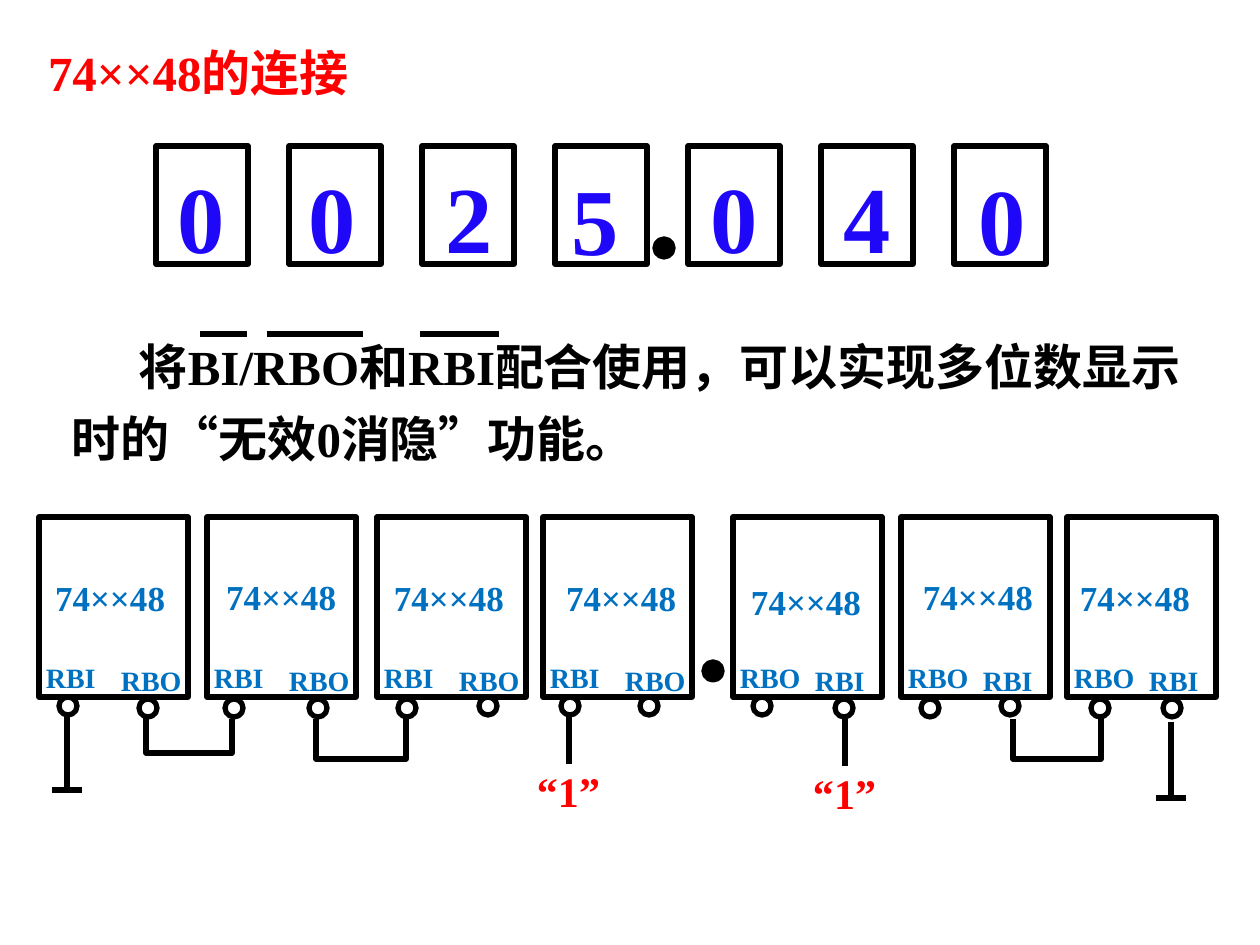
from dataclasses import dataclass
from lxml.etree import SubElement
from pptx import Presentation
from pptx.dml.color import RGBColor
from pptx.enum.shapes import MSO_CONNECTOR as CONN, MSO_SHAPE as SHAPE
from pptx.enum.text import MSO_ANCHOR as ANCHOR
from pptx.oxml.ns import qn
from pptx.util import Pt

SCALE = 914400 / 126


def px(n):
    return round(n * SCALE)


@dataclass(frozen=True)
class Theme:
    font: str = "Times New Roman"
    black: str = "000000"
    white: str = "FFFFFF"
    red: str = "FF0000"
    digit: str = "1F08F8"
    label: str = "0070C0"
    heading_pt: int = 28
    digit_pt: int = 54
    level_pt: int = 24
    name_pt: int = 20
    pin_pt: int = 16
    line_pt: int = 3
    dot: int = 18


T = Theme()


@dataclass(frozen=True)
class Chip:
    x: int
    name: tuple      # offset of the part name from the chip corner
    bubbles: tuple   # offsets of the two pin bubbles from the chip's bottom left


# ---- Drawing helpers ----
def rgb(code):
    return RGBColor.from_string(code)


def style_line(s, color=T.black):
    s.line.color.rgb = rgb(color)
    s.line.width = Pt(T.line_pt)


def shape(slide, kind, x, y, w, h, fill=None, line=T.black):
    s = slide.shapes.add_shape(kind, px(x), px(y), px(w), px(h))
    s.shadow.inherit = False
    if fill:
        s.fill.solid()
        s.fill.fore_color.rgb = rgb(fill)
    else:
        s.fill.background()
    style_line(s, line)
    return s


def circle(slide, x, y, fill=None):
    return shape(slide, SHAPE.OVAL, x, y, T.dot, T.dot, fill)


def line(slide, x1, y1, x2, y2):
    s = slide.shapes.add_connector(CONN.STRAIGHT, px(x1), px(y1), px(x2), px(y2))
    SubElement(s._element.spPr, qn("a:effectLst"))
    style_line(s)
    # the line style follows the effect list in schema order
    s._element.spPr.append(s._element.spPr.find(qn("a:effectLst")))


def write(s, text, size, color, top=6):
    tf = s.text_frame
    tf.word_wrap = True
    tf.vertical_anchor = ANCHOR.TOP
    tf.margin_left = tf.margin_right = px(13)
    tf.margin_top, tf.margin_bottom = px(top), px(6)
    p = tf.paragraphs[0]
    p.text = text
    p.font.name, p.font.size, p.font.bold = T.font, Pt(size), True
    p.font.color.rgb = rgb(color)
    return p


def label(slide, text, x, y, w, h, size, color):
    s = slide.shapes.add_textbox(px(x), px(y), px(w), px(h))
    write(s, text, size, color, top=6 + round(size / 6))


# ---- Regions ----
def title(slide, x, y, w, h):
    s = slide.shapes.add_textbox(px(x), px(y), px(w), px(h))
    write(s, "74××48的连接", T.heading_pt, T.red)
    s.text_frame.vertical_anchor = ANCHOR.MIDDLE


def display(slide, x, y, pitch, w, h):
    digits = [("0", 9, 0), ("0", 7, 0), ("2", 10, 0), ("5", 3, 2),
              ("0", 9, 0), ("4", 9, 0), ("0", 12, 2)]
    for i, (digit, dx, dy) in enumerate(digits):
        left = x + i * pitch
        shape(slide, SHAPE.RECTANGLE, left, y, w, h)
        label(slide, digit, left + dx, y - 2 + dy, 72, 126, T.digit_pt, T.digit)
    # Decimal point
    circle(slide, x + 499, y + 93, T.black)


def explanation(slide, x, y, w, h):
    s = shape(slide, SHAPE.RECTANGLE, x, y, w, h, line=T.white)
    p = write(s, "将BI/RBO和RBI配合使用，可以实现多位数显示时的“无效0消隐”功能。",
              T.heading_pt, T.black, top=11)
    p.alignment = 1
    p.line_spacing = 1.24
    p.space_after = Pt(3)
    p._p.get_or_add_pPr().set("indent", str(px(67)))
    # Bars over the active-low signal names
    for start, end in [(141, 188), (208, 304), (361, 440)]:
        line(slide, x + start, y + 23, x + end, y + 23)


def chip_row(slide, y, w, h):
    chips = [
        Chip(39, (3, 51), ((20, 0), (100, 2))),
        Chip(207, (6, 49), ((18, 2), (102, 2))),
        Chip(377, (4, 51), ((21, 2), (102, 0))),
        Chip(543, (10, 51), ((18, 0), (97, 0))),
        Chip(733, (5, 54), ((20, 0), (102, 2))),
        Chip(901, (9, 49), ((20, 2), (100, 0))),
        Chip(1067, (0, 51), ((24, 2), (96, 2))),
    ]
    for i, chip in enumerate(chips):
        pins = ("RBI", "RBO") if i < 4 else ("RBO", "RBI")
        shape(slide, SHAPE.RECTANGLE, chip.x, y, w, h)
        dx, dy = chip.name
        label(slide, "74××48", chip.x + dx, y + dy, 170, 54, T.name_pt, T.label)
        label(slide, pins[0], chip.x - 6, y + 135, 89, 47, T.pin_pt, T.label)
        label(slide, pins[1], chip.x + 69, y + 138, 98, 47, T.pin_pt, T.label)
        for dx, dy in chip.bubbles:
            circle(slide, chip.x + dx, y + h + dy)
    # Decimal point
    circle(slide, 704, y + 145, T.black)


def ground(slide, x, top, bottom):
    line(slide, x, top, x, bottom)
    line(slide, x - 15, bottom + 1, x + 15, bottom + 1)


def high_level(slide, x, top, bottom):
    line(slide, x, top, x, bottom)
    label(slide, "“1”", x - 45, bottom - 8, 93, 63, T.level_pt, T.red)


def link(slide, left, right, bottom, left_top, right_top):
    points = [(left, left_top), (left, bottom), (right, bottom), (right, right_top)]
    (x, y), *rest = [(px(a), px(b)) for a, b in points]
    fb = slide.shapes.build_freeform(x, y)
    fb.add_line_segments(rest, close=False)
    s = fb.convert_to_shape()
    s.shadow.inherit = False
    s.fill.background()
    style_line(s)


def wiring(slide):
    for x, top, bottom in [(67, 714, 789), (1171, 722, 797)]:
        ground(slide, x, top, bottom)
    for x, top, bottom in [(569, 714, 764), (845, 717, 766)]:
        high_level(slide, x, top, bottom)
    for wire in [(146, 232, 753, 717, 719), (316, 406, 759, 719, 717),
                 (1013, 1101, 759, 719, 717)]:
        link(slide, *wire)


def main():
    prs = Presentation()
    prs.slide_width, prs.slide_height = px(1260), px(945)
    slide = prs.slides.add_slide(prs.slide_layouts[6])
    title(slide, 35, 39, 359, 66)
    display(slide, 156, 146, 133, 92, 118)
    explanation(slide, 59, 311, 1169, 152)
    wiring(slide)
    chip_row(slide, 517, 149, 180)
    prs.save("out.pptx")


if __name__ == "__main__":
    main()
